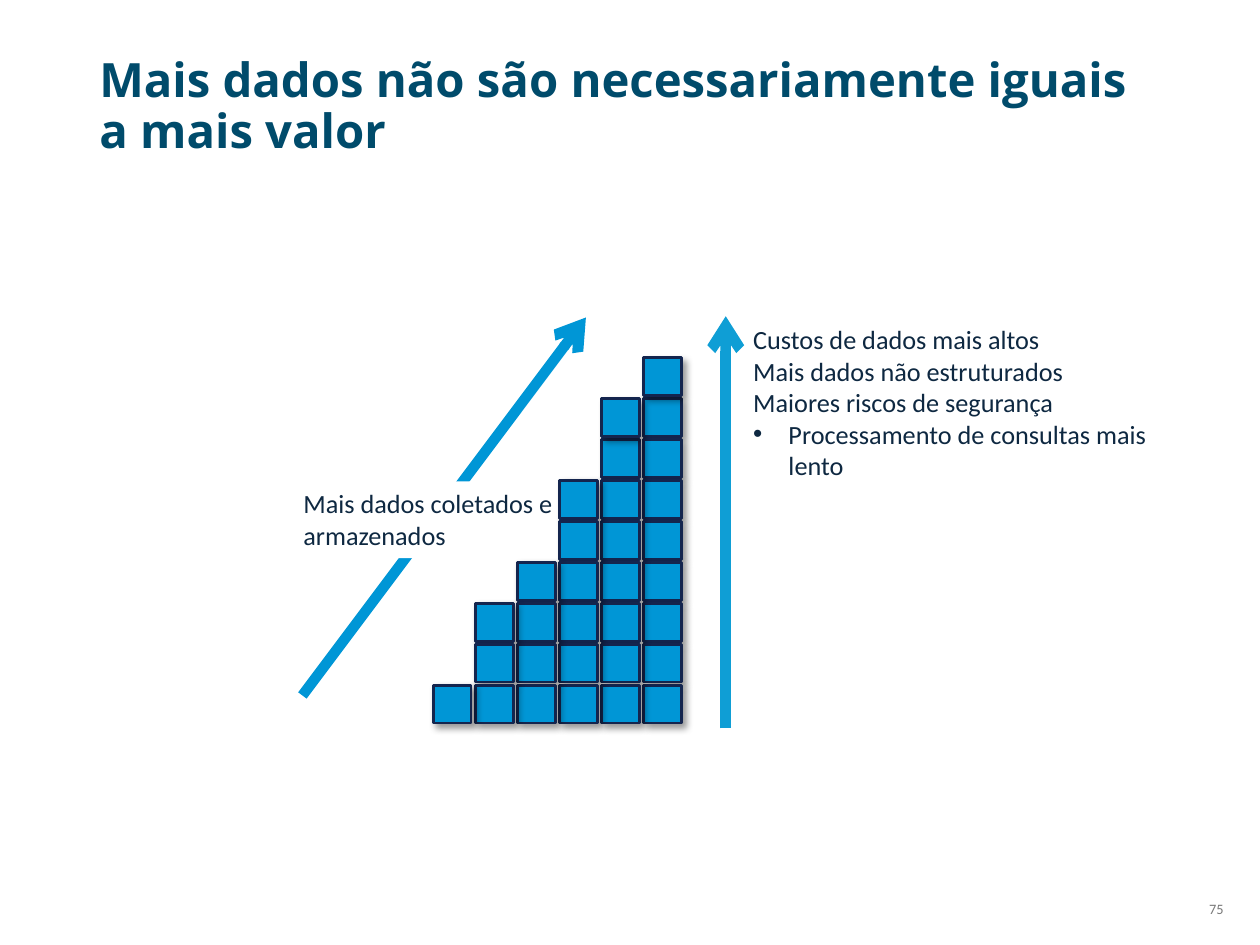
"""Build the slide on data volume against data value."""
import pptx
import pptx.util
import pptx.dml.color
import pptx.enum.shapes
import pptx.enum.text
import pptx.oxml
import pptx.oxml.ns

Inches = pptx.util.Inches
Pt = pptx.util.Pt
Align = pptx.enum.text.PP_ALIGN
Anchor = pptx.enum.text.MSO_ANCHOR
NS = pptx.oxml.ns.nsdecls("a")

HUES = {"title": "004B6B", "text": "0E2841", "page": "797979", "back": "FFFFFF",
        "brick": "0096D6", "edge": "14254E", "rise": "0F9ED5"}
TITLE = "Mais dados não são necessariamente iguais a mais valor"
LABEL = "Mais dados coletados e armazenados"
COSTS = ["Custos de dados mais altos", "Mais dados não estruturados",
         "Maiores riscos de segurança"]
POINT = "Processamento de consultas mais lento"
PAGE = "75"
STACKS = [1, 3, 4, 6, 8, 9]
CAPS = [(4, 7), (5, 8)]
LEFT, BASE, SIDE = 3.44, 5.44, 0.3
STEP_X, STEP_Y = 0.334, 0.325
ARROWS = {"slope": ((2.4, 5.52), (4.65, 2.52), "brick"),
          "rise": ((5.76, 5.78), (5.76, 2.51), "rise")}


def rgb(name):
    return pptx.dml.color.RGBColor.from_string(HUES[name])


def xml(text):
    return pptx.oxml.parse_xml(text)


def write(box, lines, size=15, font="Calibri", hue="text", bold=False,
          align=Align.LEFT, anchor=Anchor.TOP, space=None, point=None, grow=False):
    frame = box.text_frame
    frame.word_wrap = True
    frame.vertical_anchor = anchor
    if grow:
        frame.auto_size = pptx.enum.text.MSO_AUTO_SIZE.SHAPE_TO_FIT_TEXT
    for i, line in enumerate(lines):
        para = frame.paragraphs[0] if i == 0 else frame.add_paragraph()
        para.alignment = align
        if space:
            para.line_spacing = space
        if line == point:
            props = para._p.get_or_add_pPr()
            props.set("marL", str(Inches(0.28)))
            props.set("indent", str(-Inches(0.28)))
            props.append(xml(f'<a:buFont {NS} typeface="Arial"/>'))
            props.append(xml(f'<a:buChar {NS} char="•"/>'))
        run = para.add_run()
        run.text = line
        run.font.size = Pt(size)
        run.font.name = font
        run.font.bold = bold
        run.font.color.rgb = rgb(hue)


def add_text(slide, place, lines, **form):
    write(slide.shapes.add_textbox(*map(Inches, place)), lines, **form)


def add_rect(slide, place, fill):
    kind = pptx.enum.shapes.MSO_SHAPE.RECTANGLE
    rect = slide.shapes.add_shape(kind, *map(Inches, place))
    rect.shadow.inherit = False
    rect.fill.solid()
    rect.fill.fore_color.rgb = rgb(fill)
    rect.line.fill.background()
    return rect


def add_brick(slide, col, row):
    place = (LEFT + col * STEP_X, BASE - row * STEP_Y, SIDE, SIDE)
    brick = add_rect(slide, place, "brick")
    brick.line.color.rgb = rgb("edge")
    brick.line.width = Pt(1.5)
    shade = xml(f'<a:outerShdw {NS} blurRad="{Pt(4)}" dist="{Pt(3)}" dir="2700000" '
                'algn="tl" rotWithShape="0"><a:srgbClr val="000000">'
                '<a:alpha val="40000"/></a:srgbClr></a:outerShdw>')
    brick.element.spPr.find(pptx.oxml.ns.qn("a:effectLst")).append(shade)


def add_arrow(slide, start, end, hue):
    kind = pptx.enum.shapes.MSO_CONNECTOR.STRAIGHT
    arrow = slide.shapes.add_connector(kind, *map(Inches, start + end))
    arrow.line.color.rgb = rgb(hue)
    arrow.line.width = Pt(6)
    arrow.line._ln.append(xml(f'<a:tailEnd {NS} type="arrow"/>'))
    arrow.element.spPr.append(xml(f'<a:effectLst {NS}/>'))


def main():
    deck = pptx.Presentation()
    deck.slide_width, deck.slide_height = Inches(10), Inches(7.5)
    slide = deck.slides.add_slide(deck.slide_layouts[6])
    add_text(slide, (9.41, 7.05, 0.4, 0.32), [PAGE], size=8.2, hue="page",
             align=Align.RIGHT, anchor=Anchor.MIDDLE)
    add_text(slide, (0.69, 0.4, 8.43, 0.91), [TITLE], size=27, font="Open Sans",
             hue="title", bold=True, anchor=Anchor.MIDDLE, space=0.9)
    add_arrow(slide, *ARROWS["slope"])
    write(add_rect(slide, (2.31, 3.82, 2.2, 0.61), "back"), [LABEL], grow=True)
    cells = [(col, row) for col in reversed(range(len(STACKS)))
             for row in reversed(range(STACKS[col]))]
    for col, row in sorted(cells, key=lambda cell: cell in CAPS):
        add_brick(slide, col, row)
    add_text(slide, (5.88, 2.52, 3.6, 1.36), COSTS + [POINT], point=POINT, grow=True)
    add_arrow(slide, *ARROWS["rise"])
    deck.save("out.pptx")


if __name__ == "__main__":
    main()
